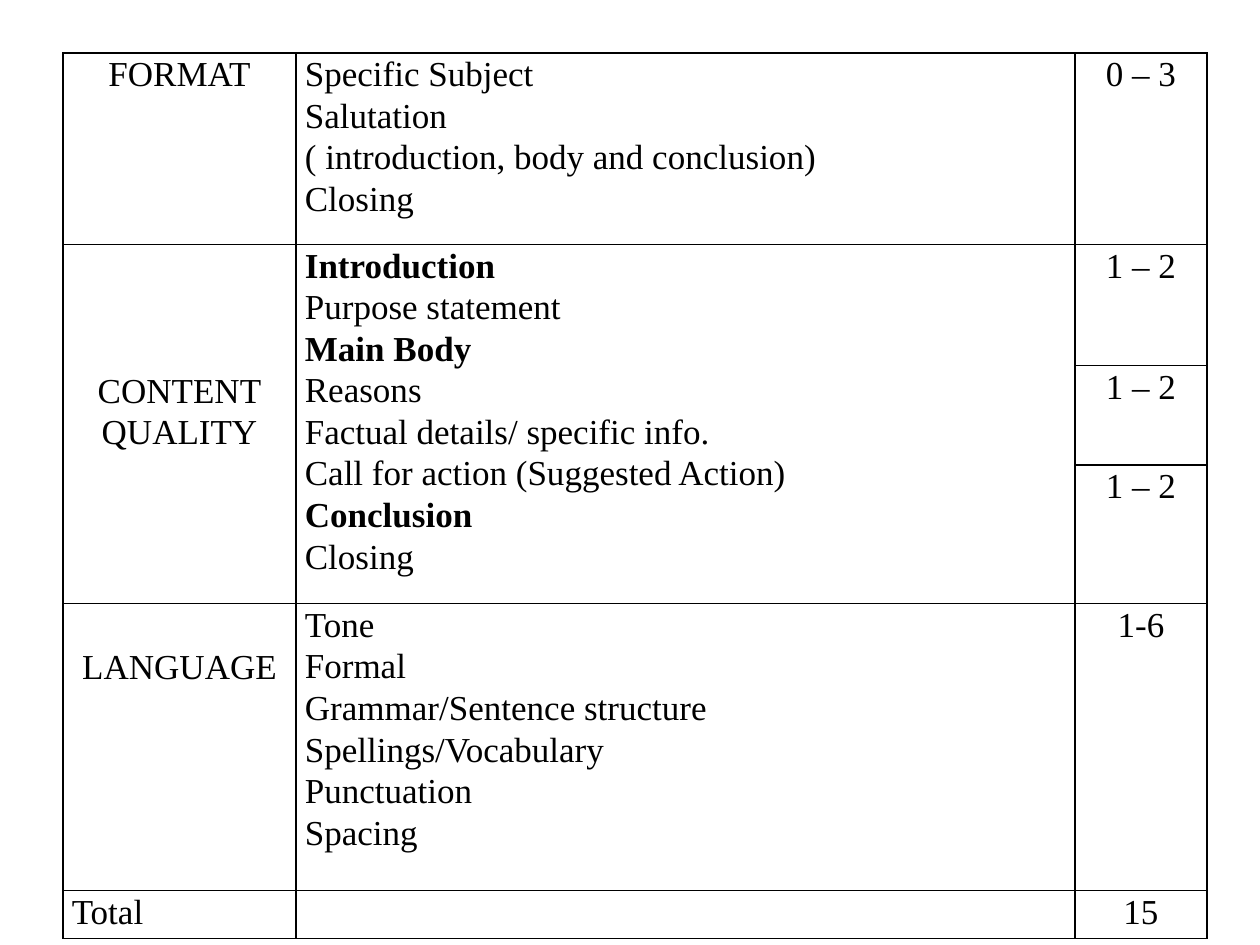
from lxml.etree import SubElement
from pptx import Presentation
from pptx.dml.color import RGBColor
from pptx.enum.text import PP_ALIGN as Align
from pptx.oxml.ns import qn
from pptx.util import Inches, Pt

COL_WIDTHS = [1.85, 6.18, 1.05]
ROW_HEIGHTS = [1.52, 0.96, 0.79, 1.1, 2.28, 0.38]
LINE_HEIGHT = 0.33
BLACK = "000000"

# (row, column): lines of text
CRITERIA = {
    (0, 0): ["FORMAT"],
    (0, 1): ["Specific Subject", "Salutation",
             "( introduction, body and conclusion)", "Closing"],
    (0, 2): ["0 – 3"],
    (1, 0): ["CONTENT", "QUALITY"],
    (1, 1): ["Introduction", "Purpose statement", "Main Body", "Reasons",
             "Factual details/ specific info.",
             "Call for action (Suggested Action)", "Conclusion", "Closing"],
    (1, 2): ["1 – 2"],
    (2, 2): ["1 – 2"],
    (3, 2): ["1 – 2"],
    (4, 0): ["LANGUAGE"],
    (4, 1): ["Tone", "Formal", "Grammar/Sentence structure",
             "Spellings/Vocabulary", "Punctuation", "Spacing"],
    (4, 2): ["1-6"],
    (5, 0): ["Total"],
    (5, 2): ["15"],
}
HEADINGS = {"Introduction", "Main Body", "Conclusion"}
LINES_DOWN = {(1, 0): 3, (4, 0): 1}
LEFT_ALIGNED = {(5, 0)}


def rgb(color):
    return RGBColor.from_string(color)


def set_borders(cell, color=BLACK, width=1):
    tc_pr = cell._tc.get_or_add_tcPr()
    for side in ("L", "R", "T", "B"):
        ln = SubElement(tc_pr, qn(f"a:ln{side}"), w=str(Pt(width)))
        fill = SubElement(ln, qn("a:solidFill"))
        SubElement(fill, qn("a:srgbClr"), val=color)


def format_cell(cell, lines_down=0):
    margins = {"margin_left": 0.07, "margin_right": 0.07,
               "margin_top": lines_down * LINE_HEIGHT, "margin_bottom": 0}
    for name, value in margins.items():
        setattr(cell, name, Inches(value))
    set_borders(cell)
    cell.fill.background()


def write_lines(cell, lines, align):
    tf = cell.text_frame
    for i, line in enumerate(lines):
        p = tf.add_paragraph() if i else tf.paragraphs[0]
        p.alignment, p.line_spacing = align, 1.07
        r = p.add_run()
        r.text = line
        font = {"name": "Times New Roman", "size": Pt(20),
                "bold": line in HEADINGS}
        for name, value in font.items():
            setattr(r.font, name, value)
        r.font.color.rgb = rgb(BLACK)


def add_rubric(s):
    frame = s.shapes.add_table(
        len(ROW_HEIGHTS), len(COL_WIDTHS), Inches(0.5), Inches(0.42),
        Inches(sum(COL_WIDTHS)), Inches(sum(ROW_HEIGHTS)))
    table = frame.table
    table.first_row = table.horz_banding = False
    for col, width in zip(table.columns, COL_WIDTHS):
        col.width = Inches(width)
    for row, height in zip(table.rows, ROW_HEIGHTS):
        row.height = Inches(height)
    for i in range(len(ROW_HEIGHTS)):
        for j in range(len(COL_WIDTHS)):
            cell = table.cell(i, j)
            format_cell(cell, LINES_DOWN.get((i, j), 0))
            left = j == 1 or (i, j) in LEFT_ALIGNED
            write_lines(cell, CRITERIA.get((i, j), []),
                        Align.LEFT if left else Align.CENTER)
    for j in (0, 1):
        table.cell(1, j).merge(table.cell(3, j))


def main():
    prs = Presentation()
    prs.slide_width, prs.slide_height = Inches(10), Inches(7.5)
    s = prs.slides.add_slide(prs.slide_layouts[6])
    add_rubric(s)
    prs.save("out.pptx")


if __name__ == "__main__":
    main()
